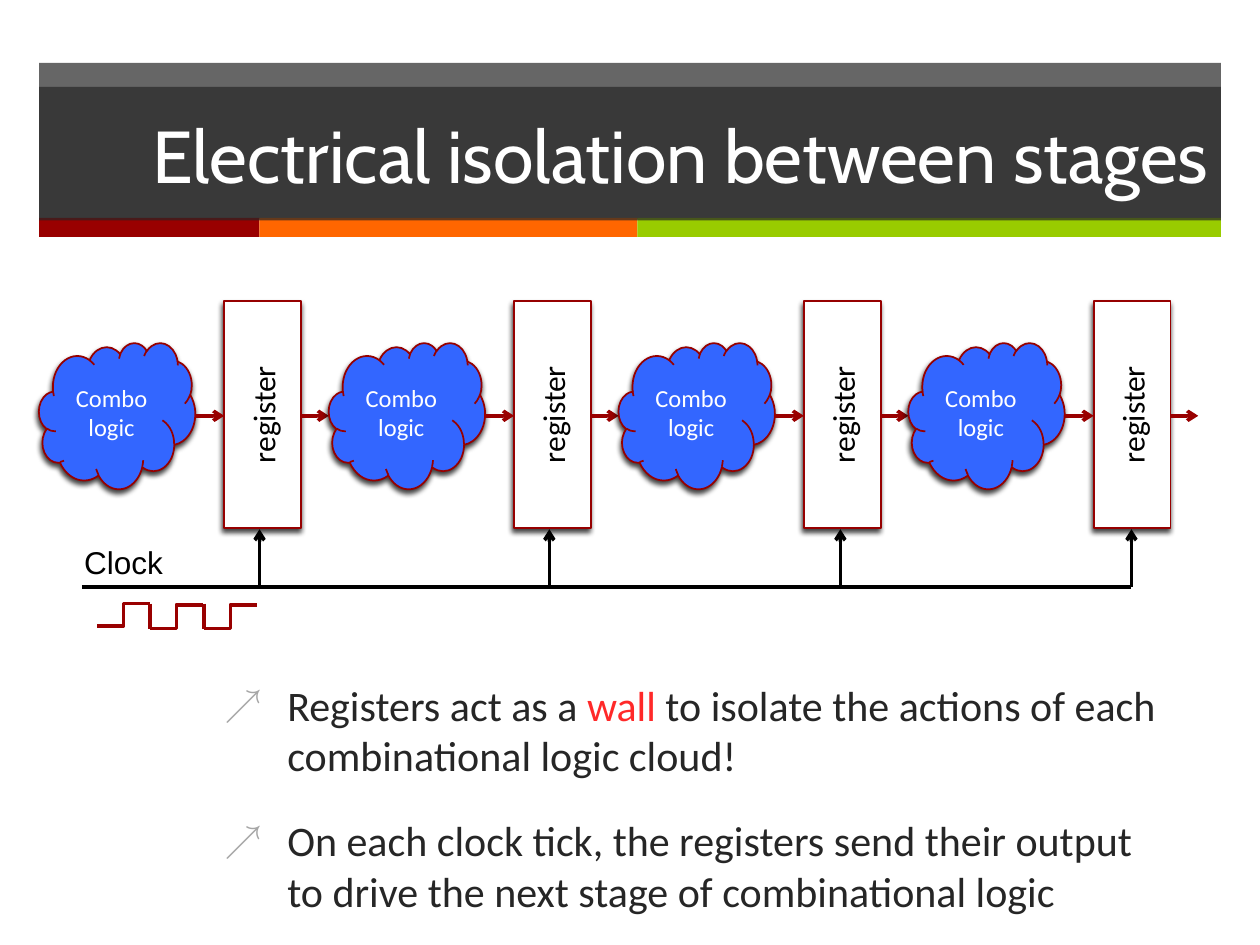
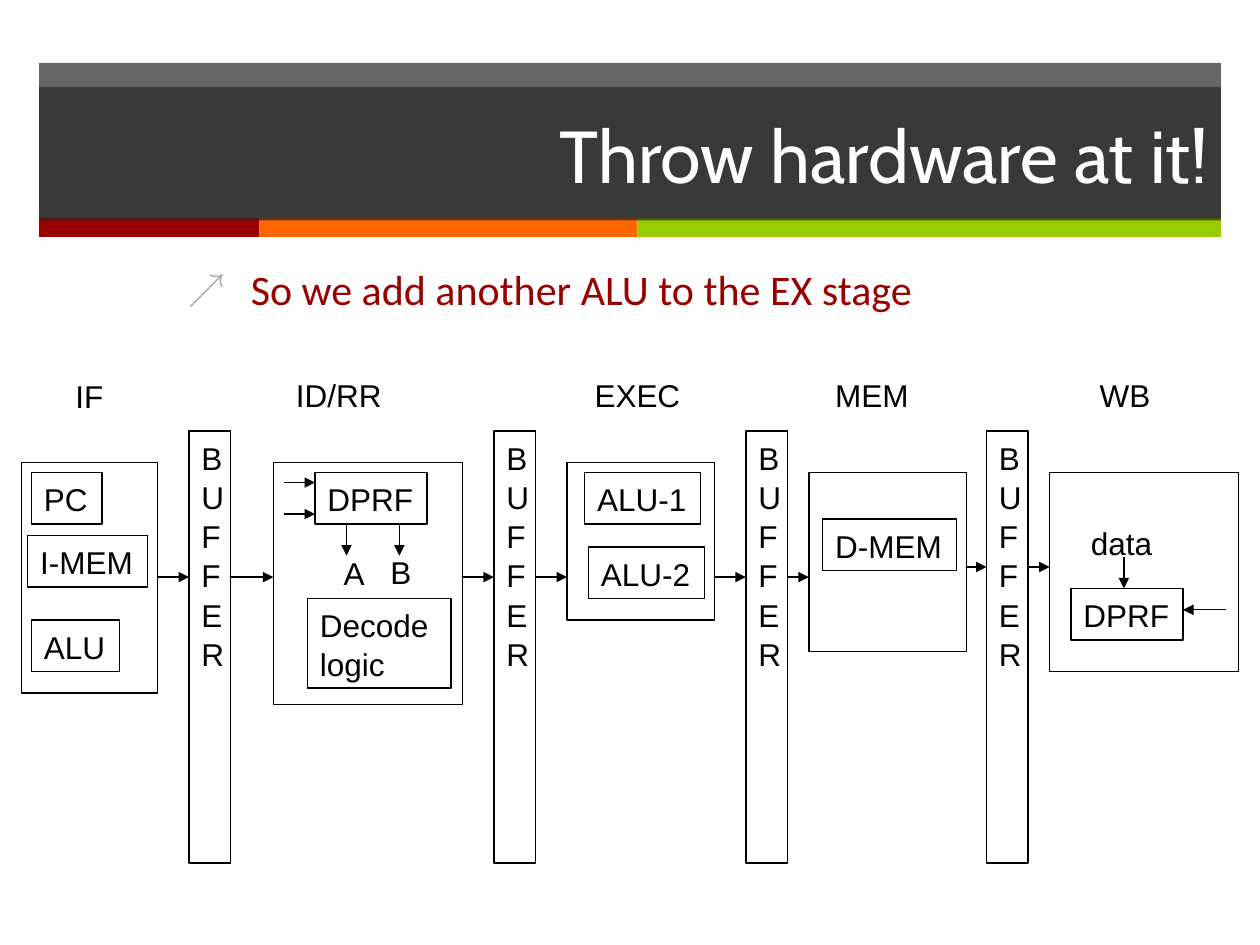
from dataclasses import dataclass
from itertools import pairwise

from lxml.etree import SubElement
from pptx import Presentation
from pptx.dml.color import RGBColor
from pptx.enum.shapes import MSO_CONNECTOR as LINK, MSO_SHAPE as PRESET
from pptx.enum.text import MSO_ANCHOR as ANCHOR, MSO_AUTO_SIZE as FIT, PP_ALIGN as ALIGN
from pptx.oxml.ns import qn
from pptx.util import Inches, Pt


@dataclass(frozen=True)
class Theme:
    dark: str = "262626"
    white: str = "FFFFFF"
    black: str = "000000"
    red: str = "990000"
    orange: str = "FF6600"
    green: str = "99CC00"
    blue: str = "3366FF"
    edge: str = "960000"
    accent: str = "FF2929"
    bullet: str = "A6A6A6"
    title_font: str = "Cabin"
    body_font: str = "Calibri"
    label_font: str = "Arial"
    title_size: int = 42
    body_size: int = 24
    label_size: int = 18
    cloud_size: int = 14


THEME = Theme()
BAND = (0.31, 0.5, 9.38, 1.24)
TITLE = (0.31, 0.69, 9.38, 1.06)
STRIPES = [(1.75, THEME.red), (3, THEME.orange), (4.63, THEME.green)]

ISOLATION_TITLE = "Electrical isolation between stages"
ISOLATION_BODY = (1.68, 5.34, 7.74, 1.98)
ISOLATION_POINTS = [
    [("Registers act as a ", THEME.dark), ("wall", THEME.accent),
     (" to isolate the actions of each combinational logic cloud!", THEME.dark)],
    [("On each clock tick, the registers send their output to drive "
      "the next stage of combinational logic", THEME.dark)],
]
STAGE_COUNT, STAGE_PITCH = 4, 2.3
CLOUD = (0.31, 2.72, 1.24, 1.16)
REGISTER = (1.78, 2.39, 0.61, 1.8)
FLOW_Y, FLOW_GAP = 3.3, 0.22
CLOCK_LABEL = ("Clock", (0.57, 4.25, 0.88, 0.4))
CLOCK_START, CLOCK_Y, CLOCK_TIP = 0.65, 4.66, 4.2
CLOCK_TAPS = [2.06, 4.36, 6.67, 8.98]
PULSES = [(0.77, 4.97, 4.79), (1.19, 4.99, 4.8), (1.62, 4.99, 4.8)]
PULSE_WIDTH = 0.42

HARDWARE_TITLE = "Throw hardware at it!"
HARDWARE_BODY = (1.39, 2.04, 7.74, 0.6)
HARDWARE_POINTS = [[("So we add another ALU to the EX stage", THEME.red)]]
STAGES = [
    (0.17, 3.67, 1.08, 1.83),
    (2.17, 3.67, 1.5, 1.92),
    (4.5, 3.67, 1.17, 1.25),
    (6.42, 3.75, 1.25, 1.42),
    (8.33, 3.75, 1.5, 1.58),
]
BUFFER_LEFTS = [1.5, 3.92, 5.92, 7.83]
BUFFER_TOP, BUFFER_WIDTH, BUFFER_HEIGHT = 3.42, 0.33, 3.43
BUFFER_FLOW_Y = [4.58, 4.58, 4.58, 4.5]
UNITS = [
    ("PC", (0.25, 3.75, 0.56, 0.41)),
    ("I-MEM", (0.22, 4.25, 0.95, 0.41)),
    ("ALU", (0.25, 4.92, 0.7, 0.41)),
    ("DPRF", (2.5, 3.75, 0.89, 0.41)),
    ("Decode\nlogic", (2.44, 4.75, 1.14, 0.71)),
    ("ALU-1", (4.64, 3.75, 0.92, 0.41)),
    ("ALU-2", (4.67, 4.34, 0.92, 0.41)),
    ("D-MEM", (6.53, 4.12, 1.06, 0.41)),
    ("DPRF", (8.5, 4.67, 0.89, 0.41)),
]
LABELS = [
    ("IF", (0.5, 2.93, 0.42, 0.4)),
    ("ID/RR", (2.25, 2.92, 0.88, 0.4)),
    ("EXEC", (4.62, 2.92, 0.88, 0.4)),
    ("MEM", (6.53, 2.92, 0.78, 0.4)),
    ("WB", (8.63, 2.92, 0.6, 0.4)),
    ("A", (2.63, 4.34, 0.37, 0.4)),
    ("B", (3, 4.33, 0.37, 0.4)),
    ("data", (8.56, 4.1, 0.69, 0.4)),
]
PORT_ARROWS = [
    ((2.25, 3.83), (2.5, 3.83)),
    ((2.25, 4.08), (2.5, 4.08)),
    ((2.75, 4.16), (2.75, 4.41)),
    ((3.17, 4.16), (3.17, 4.41)),
    ((8.92, 4.42), (8.92, 4.67)),
    ((9.73, 4.84), (9.39, 4.84)),
]


def apply(target, **values):
    for name, value in values.items():
        setattr(target, name, value)


def style_font(font, name, size, color):
    apply(font, name=name, size=Pt(size))
    font.color.rgb = RGBColor.from_string(color)


def place(shape, box):
    apply(shape, **dict(zip(("left", "top", "width", "height"), map(Inches, box))))


def paint(shape, color, alpha=None):
    shape.fill.solid()
    shape.fill.fore_color.rgb = RGBColor.from_string(color)
    if alpha:
        color_element = shape.element.spPr.find(f"{qn('a:solidFill')}/{qn('a:srgbClr')}")
        SubElement(color_element, qn("a:alpha"), val=str(alpha * 1000))


def add_box(slide, box, fill=None, line=None, width=0.75, preset=PRESET.RECTANGLE, alpha=None):
    shape = slide.shapes.add_shape(preset, *map(Inches, box))
    shape.shadow.inherit = False
    if fill:
        paint(shape, fill, alpha)
    else:
        shape.fill.background()
    if line:
        shape.line.color.rgb = RGBColor.from_string(line)
        shape.line.width = Pt(width)
    else:
        shape.line.fill.background()
    return shape


def cast_shadow(shape):
    effects = shape.element.spPr.find(qn("a:effectLst"))
    shadow = SubElement(effects, qn("a:outerShdw"), blurRad=str(Pt(3)), dist=str(Pt(2)),
                        dir=str(110 * 60000), rotWithShape="0")
    color = SubElement(shadow, qn("a:srgbClr"), val=THEME.black)
    SubElement(color, qn("a:alpha"), val="75000")


def add_line(slide, start, end, color=THEME.black, width=0.75, arrow=None, link=LINK.STRAIGHT):
    connector = slide.shapes.add_connector(link, *map(Inches, (*start, *end)))
    connector.line.color.rgb = RGBColor.from_string(color)
    connector.line.width = Pt(width)
    properties = connector.element.spPr
    if arrow:
        SubElement(properties.find(qn("a:ln")), qn("a:tailEnd"), type=arrow)
    SubElement(properties, qn("a:effectLst"))


def write_label(shape, text):
    frame = shape.text_frame
    apply(frame, text=text, word_wrap=True, auto_size=FIT.NONE,
          vertical_anchor=ANCHOR.TOP, margin_right=0)
    for paragraph in frame.paragraphs:
        apply(paragraph, alignment=ALIGN.LEFT, line_spacing=1.04)
        style_font(paragraph.font, THEME.label_font, THEME.label_size, THEME.black)


def add_label(slide, text, box):
    write_label(slide.shapes.add_textbox(*map(Inches, box)), text)


def write_center(shape, text, size, color):
    frame = shape.text_frame
    apply(frame, text=text, word_wrap=True, vertical_anchor=ANCHOR.MIDDLE)
    paragraph = frame.paragraphs[0]
    paragraph.alignment = ALIGN.CENTER
    style_font(paragraph.font, THEME.body_font, size, color)


def add_bullet(paragraph):
    properties = paragraph._p.get_or_add_pPr()
    properties.set("marL", str(Inches(0.5)))
    properties.set("indent", str(-Inches(0.5)))
    color = SubElement(properties, qn("a:buClr"))
    SubElement(color, qn("a:srgbClr"), val=THEME.bullet)
    SubElement(properties, qn("a:buSzPct"), val="90000")
    SubElement(properties, qn("a:buChar"), char="↗")


def write_points(body, box, points):
    place(body, box)
    frame = body.text_frame
    apply(frame, word_wrap=True, auto_size=FIT.NONE)
    for index, runs in enumerate(points):
        paragraph = frame.add_paragraph() if index else frame.paragraphs[0]
        add_bullet(paragraph)
        paragraph.space_before = Pt(20 if index else 0)
        for text, color in runs:
            run = paragraph.add_run()
            run.text = text
            style_font(run.font, THEME.body_font, THEME.body_size, color)


def add_slide(presentation, heading, body_box, points):
    slide = presentation.slides.add_slide(presentation.slide_layouts[1])
    title, body = slide.placeholders
    bands = [add_box(slide, BAND, THEME.dark, alpha=70)]
    left = BAND[0]
    for width, color in STRIPES:
        bands.append(add_box(slide, (left, 1.73, width, 0.15), color))
        left += width
    for band in bands:
        title.element.addprevious(band.element)

    place(title, TITLE)
    paint(title, THEME.dark, 70)
    apply(title.text_frame, text=heading, word_wrap=True, auto_size=FIT.NONE,
          vertical_anchor=ANCHOR.MIDDLE)
    paragraph = title.text_frame.paragraphs[0]
    paragraph.alignment = ALIGN.RIGHT
    style_font(paragraph.font, THEME.title_font, THEME.title_size, THEME.white)
    write_points(body, body_box, points)
    return slide


def shift(box, distance):
    return (box[0] + distance, *box[1:])


def draw_isolation(presentation):
    slide = add_slide(presentation, ISOLATION_TITLE, ISOLATION_BODY, ISOLATION_POINTS)
    for stage in range(STAGE_COUNT):
        cloud_box = shift(CLOUD, stage * STAGE_PITCH)
        register_box = shift(REGISTER, stage * STAGE_PITCH)
        register = add_box(slide, register_box, THEME.white, THEME.edge, 1)
        write_center(register, "register", THEME.label_size, THEME.black)
        register.text_frame._txBody.bodyPr.set("vert", "vert270")
        cloud = add_box(slide, cloud_box, THEME.blue, THEME.edge, 1, PRESET.CLOUD)
        write_center(cloud, "Combo logic", THEME.cloud_size, THEME.white)
        for shape in (register, cloud):
            cast_shadow(shape)
        cloud_right = cloud_box[0] + cloud_box[2]
        register_right = register_box[0] + register_box[2]
        for start, end in ((cloud_right, register_box[0]),
                           (register_right, register_right + FLOW_GAP)):
            add_line(slide, (start, FLOW_Y), (end, FLOW_Y), THEME.red, 2, "arrow")

    add_line(slide, (CLOCK_START, CLOCK_Y), (CLOCK_TAPS[-1], CLOCK_Y), width=2)
    for tap in CLOCK_TAPS:
        add_line(slide, (tap, CLOCK_Y), (tap, CLOCK_TIP), width=2, arrow="arrow")
    add_label(slide, *CLOCK_LABEL)
    for left, low, high in PULSES:
        add_line(slide, (left, low), (left + PULSE_WIDTH, high), THEME.red, 2, link=LINK.ELBOW)
    for left, low, high in PULSES[1:]:
        add_line(slide, (left, 4.79), (left, low), THEME.red, 2)


def draw_hardware(presentation):
    slide = add_slide(presentation, HARDWARE_TITLE, HARDWARE_BODY, HARDWARE_POINTS)
    for stage in STAGES:
        add_box(slide, stage, line=THEME.black)
    for text, box in UNITS:
        write_label(add_box(slide, box, line=THEME.black), text)
    for text, box in LABELS:
        add_label(slide, text, box)
    for (before, after), left, y in zip(pairwise(STAGES), BUFFER_LEFTS, BUFFER_FLOW_Y):
        box = (left, BUFFER_TOP, BUFFER_WIDTH, BUFFER_HEIGHT)
        write_label(add_box(slide, box, line=THEME.black), "\n".join("BUFFER"))
        for start, end in ((before[0] + before[2], left), (left + BUFFER_WIDTH, after[0])):
            add_line(slide, (start, y), (end, y), arrow="triangle")
    for start, end in PORT_ARROWS:
        add_line(slide, start, end, arrow="triangle")


def main():
    presentation = Presentation()
    apply(presentation, slide_width=Inches(10), slide_height=Inches(7.5))
    draw_isolation(presentation)
    draw_hardware(presentation)
    presentation.save("out.pptx")


if __name__ == "__main__":
    main()
